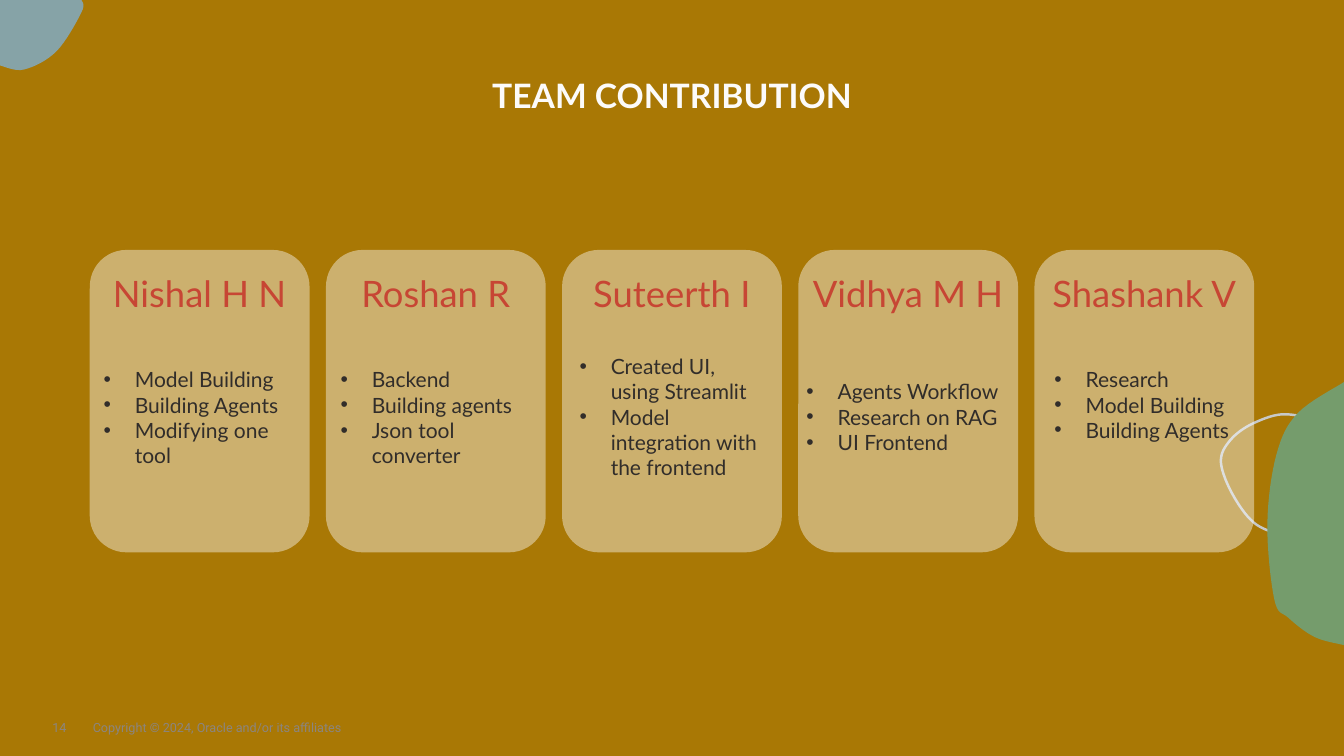
from dataclasses import dataclass

from pptx import Presentation
from pptx import util as u
from pptx.dml.color import RGBColor
from pptx.enum import shapes, text
from pptx.oxml import ns, xmlchemy

COLORS = {
    "background": "A97805", "light": "FCFBFA", "name": "C74634", "body": "312D2A",
    "footer": "8B8580", "corner": "86A3A7", "ring": "C7C9C9", "blob": "759C6C",
}
Point = tuple[float, float]


@dataclass
class Blob:
    """A smooth curve through a few anchors, closed by a straight line or as a ring."""
    color: str
    anchors: list[Point]
    ring: bool = False

    def points(self, steps: int = 8) -> list[Point]:
        first, last = self.anchors[0], self.anchors[-1]
        if self.ring:
            knots = [last, *self.anchors, first, self.anchors[1]]
        else:
            knots = [first, *self.anchors, last]
        points = [first]
        for a, b, c, d in zip(knots, knots[1:], knots[2:], knots[3:]):
            for step in range(1, steps + 1):
                t = step / steps
                points.append(tuple(
                    q + t / 2 * (r - p + t * (2 * p - 5 * q + 4 * r - s + t * (3 * (q - r) + s - p)))
                    for p, q, r, s in zip(a, b, c, d)))
        return points


@dataclass
class Member:
    name: str
    tasks: list[str]
    left: float
    top: float
    width: float
    height: float
    wrap: bool = True


@dataclass
class Style:
    size: float
    color: str
    font: str = "Lato"
    bold: bool = False


BLOBS = [
    Blob("corner", [(0.81, 0), (0.81, 0.12), (0.56, 0.51), (0.24, 0.69), (0, 0.65)]),
    Blob("ring", [(12.76, 4.11), (12.43, 4.2), (12.2, 4.37), (12.11, 4.59), (12.24, 4.93),
                  (12.47, 5.21), (12.77, 5.28), (13.06, 5.1), (13.22, 4.7), (13.1, 4.24)], ring=True),
    Blob("blob", [(13.33, 3.79), (12.87, 4.1), (12.66, 4.51), (12.57, 5.2), (12.64, 5.95),
                  (12.78, 6.13), (13.04, 6.32), (13.33, 6.4)]),
]
MEMBERS = [
    Member("Nishal H N", ["Model Building", "Building Agents", "Modifying one tool"],
           0.93, 3.59, 2.04, 1.11),
    Member("Roshan R", ["Backend", "Building agents", "Json tool converter"],
           3.28, 3.59, 2.04, 1.11),
    Member("Suteerth I", ["Created UI, using Streamlit", "Model integration with the frontend"],
           5.65, 3.46, 2.04, 1.36),
    Member("Vidhya M H", ["Agents Workflow", "Research on RAG", "UI Frontend"],
           7.9, 3.71, 2.15, 0.86, wrap=False),
    Member("Shashank V", ["Research", "Model Building", "Building Agents"],
           10.36, 3.59, 2.03, 0.86, wrap=False),
]
CARD_LEFT, CARD_TOP, CARD_WIDTH, CARD_HEIGHT = 0.89, 2.48, 2.18, 3
CARD_PITCH = (10.26 - CARD_LEFT) / (len(MEMBERS) - 1)
NAME_HEIGHT, BULLET_INDENT = 0.9, 0.31


def fill_plain(shape, color: str) -> None:
    shape.shadow.inherit = False
    shape.fill.solid()
    shape.fill.fore_color.rgb = RGBColor.from_string(COLORS[color])
    shape.line.fill.background()


def add_run(paragraph, content: str, style: Style) -> None:
    run = paragraph.add_run()
    run.text = content
    run.font.size, run.font.name, run.font.bold = u.Pt(style.size), style.font, style.bold
    run.font.color.rgb = RGBColor.from_string(COLORS[style.color])


def set_line(shape, content: str, style: Style, inset: float = 0,
             anchor=text.MSO_ANCHOR.MIDDLE, align=text.PP_ALIGN.LEFT, spacing: float = 1) -> None:
    frame = shape.text_frame
    frame.word_wrap, frame.auto_size = True, text.MSO_AUTO_SIZE.NONE
    frame.vertical_anchor = anchor
    frame.margin_left = frame.margin_right = u.Inches(inset)
    frame.margin_top = frame.margin_bottom = u.Inches(inset)
    paragraph = frame.paragraphs[0]
    paragraph.alignment, paragraph.line_spacing = align, spacing
    add_run(paragraph, content, style)


def add_blob(slide, blob: Blob) -> None:
    start, *rest = [(u.Inches(x), u.Inches(y)) for x, y in blob.points()]
    if not blob.ring and blob.color == "corner":
        rest.append((0, 0))
    builder = slide.shapes.build_freeform(*start, scale=1.0)
    builder.add_line_segments(rest, close=True)
    shape = builder.convert_to_shape()
    fill_plain(shape, blob.color)
    if blob.ring:
        shape.fill.background()
        shape.line.width = u.Pt(1.75)
        shape.line.color.rgb = RGBColor.from_string(COLORS[blob.color])


def add_card(group, member: Member, left: float) -> None:
    card = group.shapes.add_shape(shapes.MSO_SHAPE.ROUNDED_RECTANGLE, u.Inches(left),
                                  u.Inches(CARD_TOP), u.Inches(CARD_WIDTH), u.Inches(CARD_HEIGHT))
    fill_plain(card, "light")
    fill_color = card._element.spPr.find(".//" + ns.qn("a:srgbClr"))
    alpha = xmlchemy.OxmlElement("a:alpha")
    alpha.set("val", "43000")
    fill_color.append(alpha)
    name = group.shapes.add_textbox(u.Inches(left), u.Inches(CARD_TOP),
                                    u.Inches(CARD_WIDTH), u.Inches(NAME_HEIGHT))
    set_line(name, member.name, Style(26, "name"), 0.11, align=text.PP_ALIGN.CENTER, spacing=0.9)


def add_tasks(slide, member: Member) -> None:
    box = slide.shapes.add_textbox(u.Inches(member.left), u.Inches(member.top),
                                   u.Inches(member.width), u.Inches(member.height))
    frame = box.text_frame
    frame.word_wrap, frame.auto_size = member.wrap, text.MSO_AUTO_SIZE.SHAPE_TO_FIT_TEXT
    for index, task in enumerate(member.tasks):
        paragraph = frame.add_paragraph() if index else frame.paragraphs[0]
        properties = paragraph._p.get_or_add_pPr()
        properties.set("marL", str(u.Inches(BULLET_INDENT)))
        properties.set("indent", str(-u.Inches(BULLET_INDENT)))
        for tag, key, value in (("a:buFont", "typeface", "Arial"), ("a:buChar", "char", "•")):
            bullet = xmlchemy.OxmlElement(tag)
            bullet.set(key, value)
            properties.append(bullet)
        add_run(paragraph, task, Style(15, "body"))


def main() -> None:
    presentation = Presentation()
    presentation.slide_width, presentation.slide_height = u.Inches(13.33), u.Inches(7.5)
    slide = presentation.slides.add_slide(presentation.slide_layouts[5])
    slide.background.fill.solid()
    slide.background.fill.fore_color.rgb = RGBColor.from_string(COLORS["background"])
    # Decoration
    for blob in BLOBS:
        add_blob(slide, blob)
    # Footer
    for content, left, width in (("Copyright © 2024, Oracle and/or its affiliates", 0.92, 6.28),
                                 ("14", 0.52, 0.4)):
        box = slide.shapes.add_textbox(u.Inches(left), u.Inches(7.02), u.Inches(width), u.Inches(0.4))
        set_line(box, content, Style(9, "footer", "Roboto"))
    # Title
    title = slide.shapes.title
    title.left, title.top = u.Inches(0.83), u.Inches(0.25)
    title.width, title.height = u.Inches(11.67), u.Inches(0.9)
    set_line(title, "TEAM CONTRIBUTION", Style(24, "light", bold=True),
             anchor=text.MSO_ANCHOR.BOTTOM, align=text.PP_ALIGN.CENTER, spacing=0.95)
    # Team cards and their tasks
    group = slide.shapes.add_group_shape()
    for index, member in enumerate(MEMBERS):
        add_card(group, member, CARD_LEFT + index * CARD_PITCH)
        add_tasks(slide, member)
    presentation.save("out.pptx")


if __name__ == "__main__":
    main()
